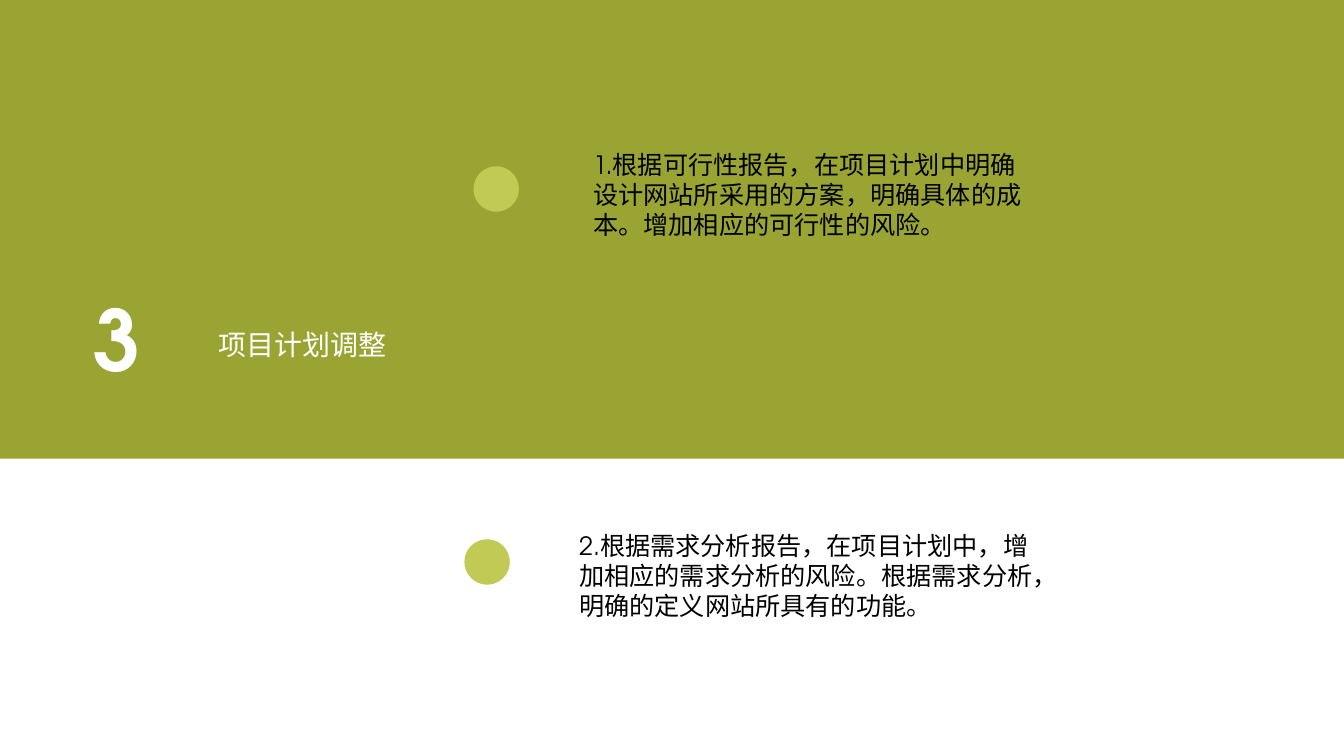
from lxml.etree import SubElement
from pptx import Presentation
from pptx.dml.color import RGBColor
from pptx.enum.shapes import MSO_SHAPE
from pptx.enum.text import MSO_ANCHOR, MSO_AUTO_SIZE, PP_ALIGN
from pptx.oxml.ns import qn
from pptx.util import Inches, Pt

COLORS = {"band": "9AA433", "dot": "C0CA54", "light": "FFFFFF", "dark": "000000"}
FONT = "TeX Gyre Adventor"
DOT_SIZE = 0.45


def add_filled_shape(page, kind, box, color):
    shape = page.shapes.add_shape(kind, *map(Inches, box))
    shape.shadow.inherit = False
    shape.fill.solid()
    shape.fill.fore_color.rgb = RGBColor.from_string(COLORS[color])
    shape.line.fill.background()
    return shape


def write_text(shape, text, size, color, bold=False, spacing=1.0):
    frame = shape.text_frame
    frame.word_wrap = True
    frame.auto_size = MSO_AUTO_SIZE.NONE
    frame.vertical_anchor = MSO_ANCHOR.TOP
    para = frame.paragraphs[0]
    para.alignment = PP_ALIGN.LEFT
    para.line_spacing = spacing
    para.space_before = Pt(0)
    span = para.add_run()
    span.text = text
    span.font.name = FONT
    span.font.size = Pt(size)
    span.font.bold = bold
    span.font.color.rgb = RGBColor.from_string(COLORS[color])
    return para


def place(shape, box):
    shape.left, shape.top, shape.width, shape.height = map(Inches, box)


def add_band(page, box):
    band = add_filled_shape(page, MSO_SHAPE.RECTANGLE, box, "band")
    tree = page.shapes._spTree
    tree.remove(band._element)
    tree.insert(2, band._element)


def fill_heading(page, box, number, heading):
    left, top, width, height = box
    number_width = 1.24
    title = page.shapes.title
    place(title, (left + number_width, top + 0.26, width - number_width, 0.4))
    write_text(title, heading, 20, "light", spacing=0.8)

    body = page.placeholders[1]
    place(body, (left, top, number_width, height))
    para = write_text(body, number, 60, "light", bold=True, spacing=0.8)
    properties = para._p.get_or_add_pPr()
    properties.set("marL", "0")
    properties.set("indent", "0")
    SubElement(properties, qn("a:buNone"))


def add_point(page, box, dot_offset, text):
    left, top, width, height = box
    across, down = dot_offset
    dot_box = (left - across, top + down, DOT_SIZE, DOT_SIZE)
    add_filled_shape(page, MSO_SHAPE.OVAL, dot_box, "dot")
    text_box = page.shapes.add_textbox(*map(Inches, box))
    write_text(text_box, text, 18, "dark")


def build_section_slide(deck):
    page = deck.slides.add_slide(deck.slide_layouts[1])
    add_band(page, (0, 0, 13.34, 4.55))
    fill_heading(page, (0.83, 3, 5.42, 0.91), "3", "项目计划调整")
    add_point(
        page, (5.79, 1.43, 4.46, 1.3), (1.09, 0.22),
        "1.根据可行性报告，在项目计划中明确设计网站所采用的方案，明确具体的成本。增加相应的可行性的风险。",
    )
    add_point(
        page, (5.65, 5.21, 4.76, 1), (1.04, 0.14),
        "2.根据需求分析报告，在项目计划中，增加相应的需求分析的风险。根据需求分析，明确的定义网站所具有的功能。",
    )


def main():
    deck = Presentation()
    deck.slide_width = Inches(13.34)
    deck.slide_height = Inches(7.5)
    build_section_slide(deck)
    deck.save("out.pptx")


if __name__ == "__main__":
    main()
